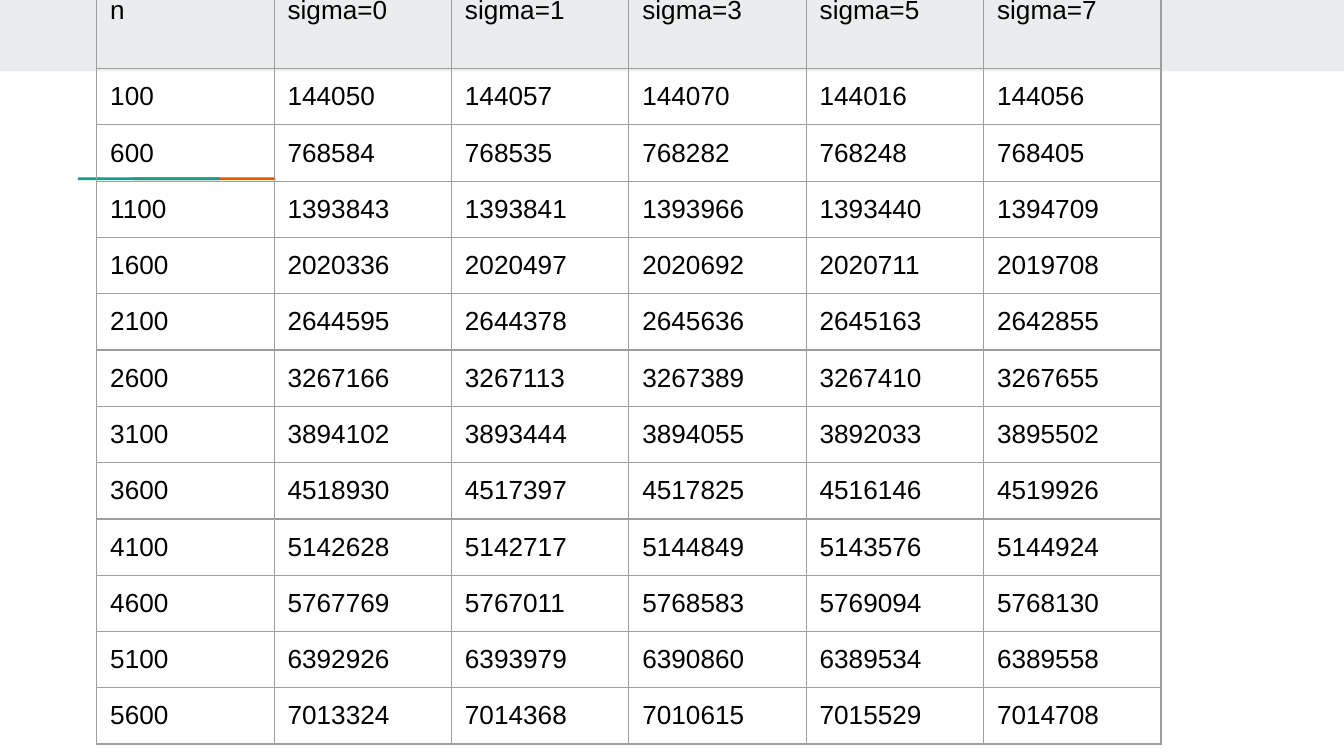
from lxml.etree import SubElement
from pptx import Presentation
from pptx.dml.color import RGBColor
from pptx.enum.shapes import MSO_SHAPE
from pptx.oxml.ns import qn
from pptx.util import Inches, Pt

COLORS = {
    "band": "E9EDEE",
    "orange": "EB5600",
    "teal": "1A9988",
    "border": "9E9E9E",
    "text": "000000",
}

SIGMAS = [0, 1, 3, 5, 7]
RESULTS = [
    (100, 144050, 144057, 144070, 144016, 144056),
    (600, 768584, 768535, 768282, 768248, 768405),
    (1100, 1393843, 1393841, 1393966, 1393440, 1394709),
    (1600, 2020336, 2020497, 2020692, 2020711, 2019708),
    (2100, 2644595, 2644378, 2645636, 2645163, 2642855),
    (2600, 3267166, 3267113, 3267389, 3267410, 3267655),
    (3100, 3894102, 3893444, 3894055, 3892033, 3895502),
    (3600, 4518930, 4517397, 4517825, 4516146, 4519926),
    (4100, 5142628, 5142717, 5144849, 5143576, 5144924),
    (4600, 5767769, 5767011, 5768583, 5769094, 5768130),
    (5100, 6392926, 6393979, 6390860, 6389534, 6389558),
    (5600, 7013324, 7014368, 7010615, 7015529, 7014708),
]


def rgb(name):
    return RGBColor.from_string(COLORS[name])


def add_bar(slide, left, top, width, height, color):
    bar = slide.shapes.add_shape(
        MSO_SHAPE.RECTANGLE, Inches(left), Inches(top), Inches(width), Inches(height)
    )
    bar.shadow.inherit = False
    bar.fill.solid()
    bar.fill.fore_color.rgb = rgb(color)
    bar.line.fill.background()


def add_accent(slide, left, top, width, height):
    """Draw two overlapping bars, teal from the left over orange from the right."""
    bar_width = width * 0.72
    add_bar(slide, left + width - bar_width, top, bar_width, height, "orange")
    add_bar(slide, left, top, bar_width, height, "teal")


def write_text(frame, text, size=14, font="Arial", color="text"):
    run = frame.paragraphs[0].add_run()
    run.text = text
    run.font.size = Pt(size)
    run.font.name = font
    run.font.color.rgb = rgb(color)


def set_borders(cell, color="border", width=0.75):
    properties = cell._tc.get_or_add_tcPr()
    for position, side in enumerate(("lnL", "lnR", "lnT", "lnB")):
        line = SubElement(properties, qn(f"a:{side}"), w=str(Pt(width)))
        fill = SubElement(line, qn("a:solidFill"))
        SubElement(fill, qn("a:srgbClr"), val=COLORS[color])
        properties.insert(position, line)


def add_results_table(slide, left, top, width, height, header_height=0.64):
    header = ["n"] + [f"sigma={sigma}" for sigma in SIGMAS]
    rows = [header, *RESULTS]
    table = slide.shapes.add_table(
        len(rows), len(header), Inches(left), Inches(top), Inches(width), Inches(height)
    ).table
    table.first_row = False
    table.horz_banding = False

    for column in table.columns:
        column.width = Inches(width / len(header))
    for row in table.rows:
        row.height = Inches((height - header_height) / len(RESULTS))
    table.rows[0].height = Inches(header_height)

    for cell, value in zip(table.iter_cells(), (v for row in rows for v in row)):
        cell.margin_left = cell.margin_right = Inches(0.1)
        cell.margin_top = cell.margin_bottom = Inches(0.1)
        cell.fill.background()
        set_borders(cell)
        write_text(cell.text_frame, str(value))


def main():
    presentation = Presentation()
    presentation.slide_width = Inches(10)
    presentation.slide_height = presentation.slide_width * 9 // 16
    slide = presentation.slides.add_slide(presentation.slide_layouts[6])

    add_bar(slide, 0, 0, 10, 0.53, "band")
    add_accent(slide, 0.58, 1.32, 1.47, 0.02)
    add_results_table(slide, 0.72, -0.13, 7.92, 5.66)
    presentation.save("out.pptx")


if __name__ == "__main__":
    main()
